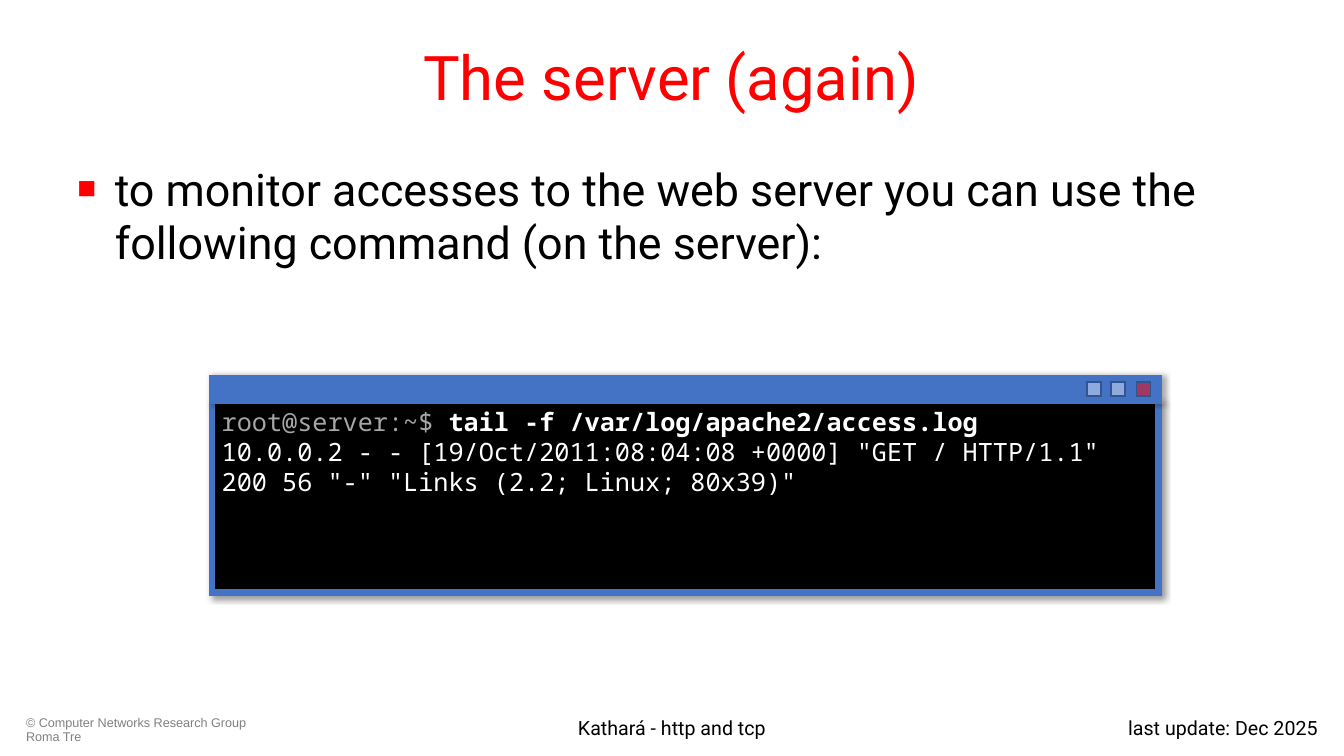
from lxml.etree import SubElement
from pptx import Presentation
from pptx.dml.color import RGBColor
from pptx.enum.shapes import MSO_SHAPE
from pptx.enum.text import MSO_ANCHOR, PP_ALIGN
from pptx.oxml.ns import qn
from pptx.util import Inches, Pt


def rgb(value):
    return RGBColor.from_string(value)


def add_run(p, text, color, **font):
    r = p.add_run()
    r.text = text
    r.font.color.rgb = rgb(color)
    for name, value in font.items():
        setattr(r.font, name, value)


prs = Presentation()
prs.slide_width, prs.slide_height = Inches(13.33), Inches(7.5)
s = prs.slides.add_slide(prs.slide_layouts[5])

title = s.shapes.title
title.left, title.top, title.width, title.height = [Inches(v) for v in (0.66, 0.13, 12, 1.25)]
tf = title.text_frame
tf.vertical_anchor = MSO_ANCHOR.MIDDLE
p = tf.paragraphs[0]
p.alignment = PP_ALIGN.CENTER
add_run(p, "The server (again)", "FF0000", size=Pt(44), name="Roboto")

texts = [
    ((0.16, 7.06, 2.49, 0.36), "© Computer Networks Research Group Roma Tre",
     "808080", 9, "Arial", {"alignment": PP_ALIGN.LEFT, "line_spacing": 0.9}),
    ((3.41, 7.05, 6.51, 0.36), "Kathará - http and tcp",
     "000000", 14, "Roboto", {"alignment": PP_ALIGN.CENTER}),
    ((10.13, 7.05, 3.04, 0.36), "last update: Dec 2025",
     "000000", 14, "Roboto", {"alignment": PP_ALIGN.RIGHT}),
    ((0.67, 1.55, 12, 1.25),
     "to monitor accesses to the web server you can use the following command (on the server):",
     "000000", 32, "Roboto", {"alignment": PP_ALIGN.LEFT}),
]
for box, text, color, size, font, formats in texts:
    tf = s.shapes.add_textbox(*[Inches(v) for v in box]).text_frame
    tf.word_wrap = True
    p = tf.paragraphs[0]
    for name, value in formats.items():
        setattr(p, name, value)
    add_run(p, text, color, size=Pt(size), name=font)

pPr = p._p.get_or_add_pPr()
pPr.set("marL", str(Inches(0.37)))
pPr.set("indent", str(-Inches(0.37)))
SubElement(SubElement(pPr, qn("a:buClr")), qn("a:srgbClr"), val="FF0000")
SubElement(pPr, qn("a:buSzPct"), val="70000")
SubElement(pPr, qn("a:buFont"), typeface="Arial")
SubElement(pPr, qn("a:buChar"), char="■")

rects = [
    ("screen", (2.1, 3.98, 9.39, 1.9), "000000", "4472C4", 4.5, (40, 3, 45)),
    ("bar", (2.1, 3.75, 9.39, 0.23), "4472C4", "4472C4", 4.5, (32, 2, 0)),
    ("minimize", (10.78, 3.79, 0.14, 0.14), "8FAADC", "325491", 1, None),
    ("maximize", (11.02, 3.79, 0.14, 0.14), "8FAADC", "325491", 1, None),
    ("close", (11.27, 3.79, 0.14, 0.14), "FF0000", "325491", 1, None),
]
window = {}
for part, box, fill, line, width, shadow in rects:
    sp = s.shapes.add_shape(MSO_SHAPE.RECTANGLE, *[Inches(v) for v in box])
    sp.fill.solid()
    sp.fill.fore_color.rgb = rgb(fill)
    sp.line.color.rgb = rgb(line)
    sp.line.width = Pt(width)
    sp.shadow.inherit = False
    spPr = sp._element.spPr
    SubElement(spPr.find(qn("a:ln")), qn("a:miter"), lim="800000")
    if shadow:
        alpha, distance, angle = shadow
        outer = SubElement(spPr.find(qn("a:effectLst")), qn("a:outerShdw"), blurRad=str(Pt(4)),
                           dist=str(Pt(distance)), dir=str(angle * 60000), algn="tl", rotWithShape="0")
        black = SubElement(outer, qn("a:srgbClr"), val="000000")
        SubElement(black, qn("a:alpha"), val=str(alpha * 1000))
    window[part] = sp

red = window["close"]._element.spPr.find(qn("a:solidFill")).find(qn("a:srgbClr"))
SubElement(red, qn("a:alpha"), val="50000")

tf = window["screen"].text_frame
tf.word_wrap = True
tf.vertical_anchor = MSO_ANCHOR.TOP
mono = {"size": Pt(18), "name": "Noto Sans Mono"}
p = tf.paragraphs[0]
add_run(p, "root@server:~$ ", "A6A6A6", **mono)
add_run(p, "tail -f /var/log/apache2/access.log", "FFFFFF", bold=True, **mono)
add_run(tf.add_paragraph(),
        '10.0.0.2 - - [19/Oct/2011:08:04:08 +0000] "GET / HTTP/1.1" 200 56 "-" "Links (2.2; Linux; 80x39)"',
        "FFFFFF", **mono)
for p in tf.paragraphs:
    p.alignment = PP_ALIGN.LEFT

prs.save("out.pptx")
